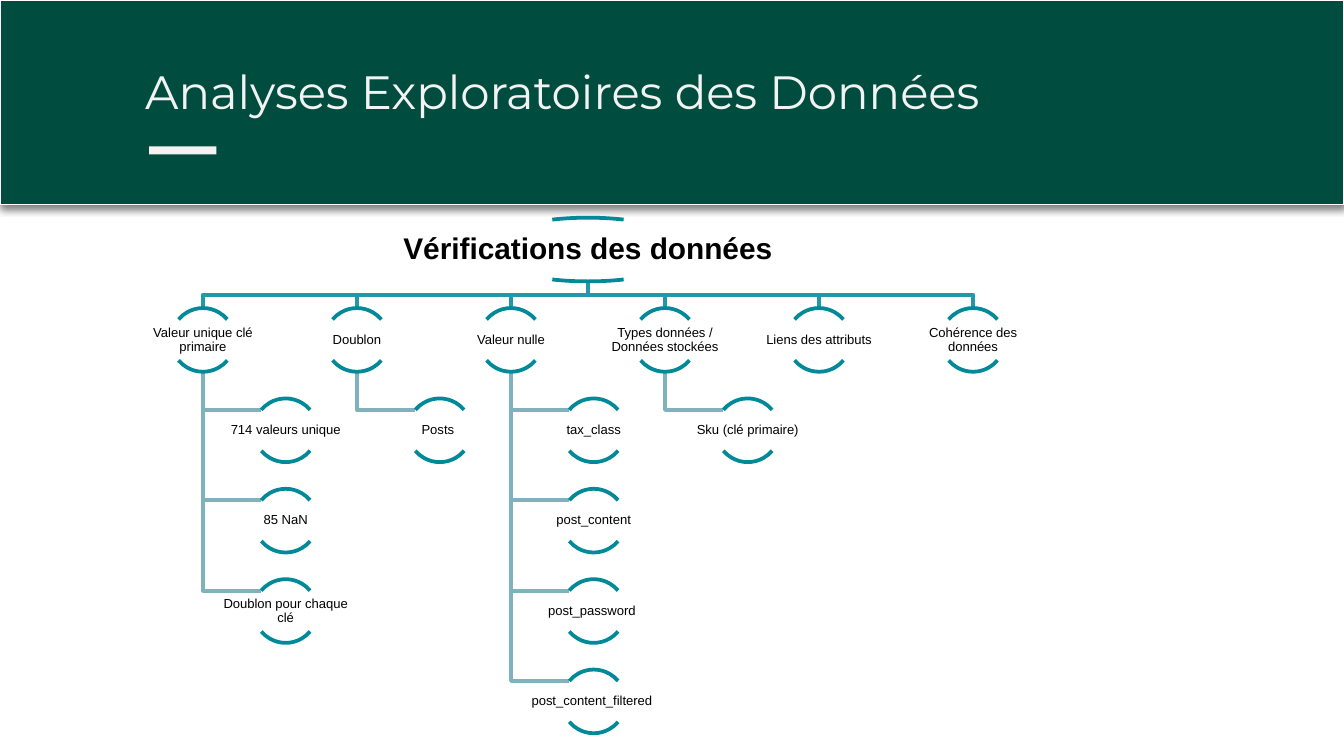
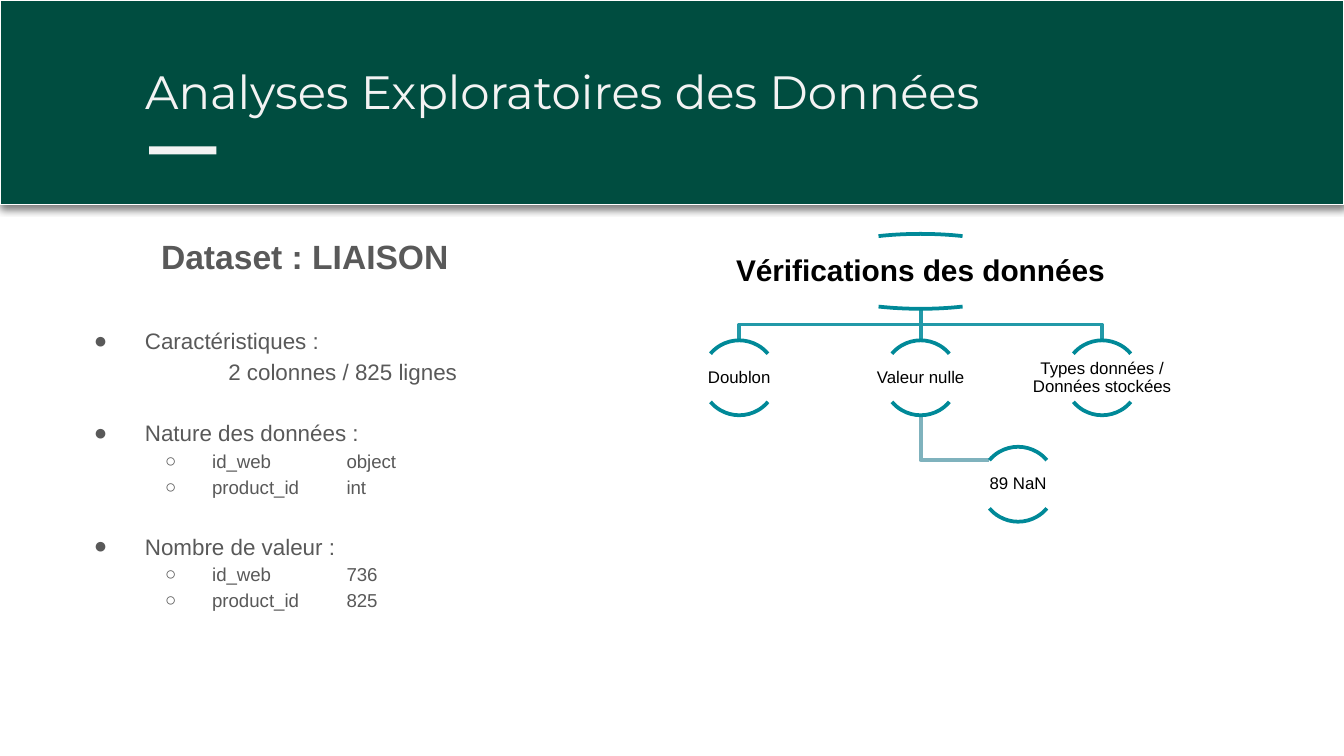
from dataclasses import dataclass

from lxml.etree import SubElement
from pptx import Presentation
from pptx.dml.color import RGBColor
from pptx.enum.shapes import MSO_CONNECTOR as Connector, MSO_SHAPE as Shape
from pptx.enum.text import MSO_ANCHOR as Anchor, MSO_AUTO_SIZE as AutoSize, PP_ALIGN as Align
from pptx.oxml.ns import qn
from pptx.util import Inches, Pt


@dataclass(frozen=True)
class Theme:
    band: str = "004D40"
    white: str = "FFFFFF"
    title: str = "F3F3F3"
    body: str = "595959"
    node: str = "000000"
    arc: str = "008998"
    branch: str = "2299A8"
    twig: str = "7FB2BD"
    title_font: str = "Montserrat"
    body_font: str = "Arial"
    title_size: int = 25
    heading_size: int = 18
    root_size: int = 16
    item_size: int = 12
    detail_size: int = 10
    line_width: int = 2


TITLE = "Analyses Exploratoires des Données"
ROOT = "Vérifications des données"

CHECKS = [
    ("Valeur unique clé primaire", ["714 valeurs unique", "85 NaN", "Doublon pour chaque clé"]),
    ("Doublon", ["Posts "]),
    ("Valeur nulle", ["tax_class", "post_content", "post_password ", "post_content_filtered "]),
    ("Types données / Données stockées", ["Sku (clé primaire)"]),
    ("Liens des attributs", []),
    ("Cohérence des données", []),
]
LINK_CHECKS = [
    ("Doublon", []),
    ("Valeur nulle", ["89 NaN"]),
    ("Types données / Données stockées", []),
]
FEATURES = [
    ("Nature des données :", ["id_web \tobject", "product_id\tint"]),
    ("Nombre de valeur :", ["id_web \t736", "product_id\t825"]),
]


def rgb(color):
    return RGBColor.from_string(color)


class Deck:
    # Tree proportions, as multiples of the node diameter
    COLUMN_STEP = 2.42
    ROW_STEP = 1.42
    CHILD_SHIFT = 1.3
    ROOT_STRETCH = 3.3
    LABEL_INSET = 0.18
    ARC_INSET = 0.11

    def __init__(self, theme):
        self.theme = theme
        self.deck = Presentation()
        self.deck.slide_width = Inches(10)
        self.deck.slide_height = Inches(10) * 9 // 16
        self.page = None

    def add_page(self):
        """Start a slide with the green band, its title and the short bar."""
        self.page = self.deck.slides.add_slide(self.deck.slide_layouts[5])
        band = self.rectangle(0, 0, 10, 1.52, self.theme.band, self.theme.white)
        self.drop_shadow(band)
        self.page.shapes._spTree.insert(2, band._element)

        title = self.page.shapes.title
        title.left, title.top = Inches(0.98), Inches(0.37)
        title.width, title.height = Inches(9.32), Inches(0.63)
        frame = self.prepare_frame(title, 0.1, Anchor.TOP)
        para = frame.paragraphs[0]
        para.text = TITLE
        para.alignment = Align.LEFT
        self.style(para, self.theme.title_size, self.theme.title, self.theme.title_font)
        self.rectangle(1.11, 1.09, 0.5, 0.06, self.theme.title)

    def prepare_frame(self, box, inset, anchor):
        frame = box.text_frame
        frame.word_wrap = True
        frame.auto_size = AutoSize.NONE
        frame.vertical_anchor = anchor
        frame.margin_left = frame.margin_right = Inches(inset)
        frame.margin_top = frame.margin_bottom = Inches(inset)
        return frame

    def style(self, para, size, color, font=None, bold=False):
        para.font.name = font or self.theme.body_font
        para.font.size = Pt(size)
        para.font.bold = bold
        para.font.color.rgb = rgb(color)

    def rectangle(self, left, top, width, height, fill, outline=None):
        box = self.page.shapes.add_shape(
            Shape.RECTANGLE, Inches(left), Inches(top), Inches(width), Inches(height))
        box.shadow.inherit = False
        box.fill.solid()
        box.fill.fore_color.rgb = rgb(fill)
        if outline:
            box.line.color.rgb = rgb(outline)
            box.line.width = Pt(0.75)
        else:
            box.line.fill.background()
        return box

    def drop_shadow(self, box):
        effects = box._element.spPr.find(qn("a:effectLst"))
        shadow = SubElement(effects, qn("a:outerShdw"), blurRad=str(Pt(4.5)),
                            dist=str(Pt(1.5)), dir="5400000", rotWithShape="0")
        color = SubElement(shadow, qn("a:srgbClr"), val="000000")
        SubElement(color, qn("a:alpha"), val="50000")

    def text_box(self, left, top, width, height, inset=0, anchor=Anchor.MIDDLE):
        box = self.page.shapes.add_textbox(
            Inches(left), Inches(top), Inches(width), Inches(height))
        return self.prepare_frame(box, inset, anchor)

    def polyline(self, points, color):
        """Draw an open line; a straight one becomes a connector."""
        points = [(Inches(x), Inches(y)) for x, y in points]
        if len(points) == 2:
            line = self.page.shapes.add_connector(Connector.STRAIGHT, *points[0], *points[1])
            SubElement(line._element.spPr, qn("a:effectLst"))
        else:
            builder = self.page.shapes.build_freeform(*points[0])
            builder.add_line_segments(points[1:], close=False)
            line = builder.convert_to_shape()
            line.shadow.inherit = False
            line.fill.background()
        line.line.color.rgb = rgb(color)
        line.line.width = Pt(self.theme.line_width)

    def node(self, label, center, top, diameter, size, stretch=1, bold=False):
        """Draw a label between an upper and a lower arc."""
        width = diameter * stretch
        for start, end in ((132, 192), (24, 84)):
            arc = self.page.shapes.add_shape(
                Shape.ARC, Inches(center - width / 2), Inches(top),
                Inches(width), Inches(diameter))
            arc.adjustments[0], arc.adjustments[1] = start, end
            arc.shadow.inherit = False
            arc.fill.background()
            arc.line.color.rgb = rgb(self.theme.arc)
            arc.line.width = Pt(self.theme.line_width)
        inset = self.LABEL_INSET * diameter
        frame = self.text_box(center - width, top + inset, 2 * width, diameter - 2 * inset)
        para = frame.paragraphs[0]
        para.text = label
        para.alignment = Align.CENTER
        para.line_spacing = 0.9
        self.style(para, size, self.theme.node, bold=bold)

    def tree(self, checks, first, last, top, size):
        """Draw the checks under one root, centred from first to last."""
        pitch = (last - first) / (len(checks) - 1)
        diameter = pitch / self.COLUMN_STEP
        row = self.ROW_STEP * diameter
        middle = (first + last) / 2
        check_top = top + row
        bus = (top + diameter + check_top) / 2
        nodes = []
        for column, (check, findings) in enumerate(checks):
            center = first + column * pitch
            elbow = [(middle, bus), (center, bus)] if abs(center - middle) > 0.01 else []
            self.polyline([(middle, top + diameter), *elbow, (center, check_top)],
                          self.theme.branch)
            nodes.append((check, center, check_top))
            child = center + self.CHILD_SHIFT * diameter
            arc_end = child - (0.5 - self.ARC_INSET) * diameter
            for rank, finding in enumerate(findings, 1):
                child_top = check_top + rank * row
                turn = child_top + self.LABEL_INSET * diameter
                self.polyline([(center, check_top + diameter), (center, turn), (arc_end, turn)],
                              self.theme.twig)
                nodes.append((finding, child, child_top))
        self.node(ROOT, middle, top, diameter, self.theme.root_size, self.ROOT_STRETCH, True)
        for label, center, node_top in nodes:
            self.node(label, center, node_top, diameter, size)

    def body_line(self, frame, text, size, margin, hanging=0, bullet=None, before=0, bold=False):
        para = frame.paragraphs[0]
        if para.text:
            para = frame.add_paragraph()
        para.text = text
        props = para._p.get_or_add_pPr()
        props.set("marL", str(Inches(margin)))
        props.set("indent", str(Inches(-hanging)))
        props.set("defTabSz", str(Inches(1)))
        if bullet:
            color = SubElement(props, qn("a:buClr"))
            SubElement(color, qn("a:srgbClr"), val=self.theme.body)
            SubElement(props, qn("a:buFont"), typeface=self.theme.body_font)
            SubElement(props, qn("a:buChar"), char=bullet)
        para.line_spacing = 1.15
        para.space_before = Pt(before)
        self.style(para, size, self.theme.body, bold=bold)

    def dataset_summary(self):
        theme = self.theme
        item = dict(size=theme.item_size, margin=0.5, hanging=0.38, bullet="●")
        detail = dict(size=theme.detail_size, margin=1, hanging=0.35, bullet="○")
        frame = self.text_box(0.48, 1.61, 4.52, 3.89, 0.1, Anchor.TOP)
        self.body_line(frame, "Dataset : LIAISON", theme.heading_size, 0.62, bold=True)
        self.body_line(frame, "Caractéristiques :", before=25, **item)
        self.body_line(frame, "\t2 colonnes / 825 lignes", theme.item_size, 0.12)
        for feature, values in FEATURES:
            self.body_line(frame, feature, before=16.5, **item)
            for value in values:
                self.body_line(frame, value, **detail)

    def save(self):
        self.deck.save("out.pptx")


def main():
    deck = Deck(Theme())
    deck.add_page()
    deck.tree(CHECKS, first=1.51, last=7.24, top=1.62, size=7)
    deck.add_page()
    deck.dataset_summary()
    deck.tree(LINK_CHECKS, first=5.5, last=8.2, top=1.74, size=9)
    deck.save()


if __name__ == "__main__":
    main()
